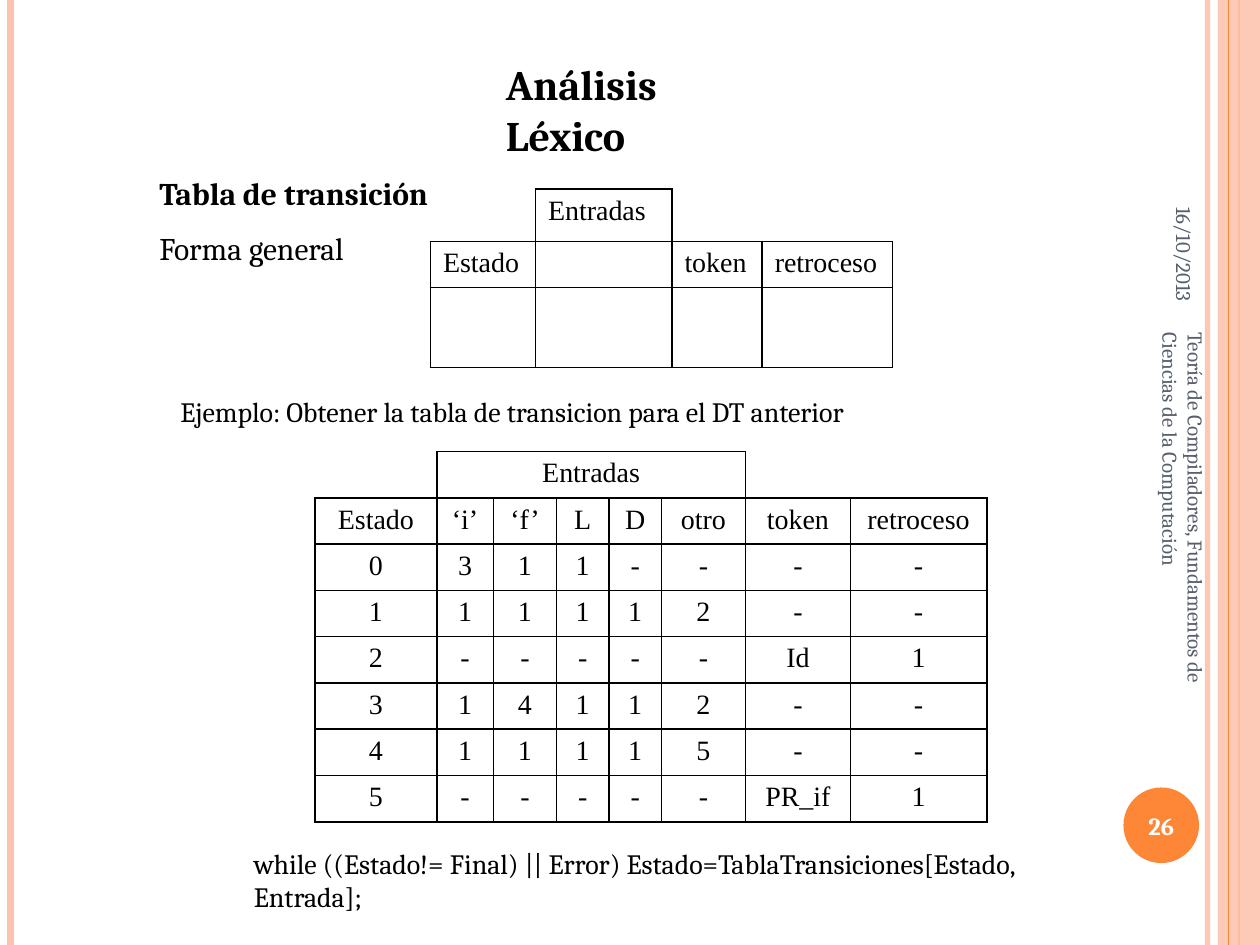
import pptx
import pptx.dml.color
import pptx.enum.shapes
import pptx.enum.text
import pptx.oxml.ns
import pptx.util
from lxml import etree

# Grid of 120 columns by 90 rows
COLS, ROWS = 120, 90
UNIT = pptx.util.Inches(10) // COLS
PINK, ORANGE, GRAY, BLACK, WHITE = "FEC3AE", "FE8637", "575F6D", "000000", "FFFFFF"
ALIGN = pptx.enum.text.PP_ALIGN
ANCHOR = pptx.enum.text.MSO_ANCHOR
SHAPE = pptx.enum.shapes.MSO_SHAPE
CELL = {"name": "Times New Roman", "size": pptx.util.Pt(16)}


def grid(*vals):
    return [round(v * UNIT) for v in vals]


def color(text):
    return pptx.dml.color.RGBColor.from_string(text)


def sub(node, tag, **attrs):
    return etree.SubElement(node, pptx.oxml.ns.qn(tag), **attrs)


def fade(fill, share):
    tint = fill._xPr.find(".//" + pptx.oxml.ns.qn("a:srgbClr"))
    sub(tint, "a:alpha", val=str(share * 1000))


def write(par, text, look, tone=BLACK, align=ALIGN.LEFT):
    par.alignment = align
    run = par.add_run()
    run.text = text
    for key, val in look.items():
        setattr(run.font, key, val)
    run.font.color.rgb = color(tone)


def label(slide, box, lines, size, tone=BLACK, bold=(), align=ALIGN.LEFT,
          anchor=ANCHOR.TOP, turn=0):
    shape = slide.shapes.add_textbox(*grid(*box))
    shape.rotation = turn
    frame = shape.text_frame
    frame.word_wrap = True
    frame.vertical_anchor = anchor
    for i, text in enumerate(lines):
        par = frame.add_paragraph() if i else frame.paragraphs[0]
        if i:
            par.space_before = pptx.util.Pt(size * 0.55)
        look = {"name": "Cambria", "size": pptx.util.Pt(size), "bold": i in bold}
        write(par, text, look, tone, align)


def edge(cell, sides):
    props = cell._tc.get_or_add_tcPr()
    for side in "LRTB":
        if side in sides:
            line = sub(props, "a:ln" + side, w="12700")
            sub(sub(line, "a:solidFill"), "a:srgbClr", val=BLACK)


def table(slide, left, top, widths, heights, data, align=ALIGN.LEFT, edges=None):
    """Ruled table; edges lists the sides drawn in the first row."""
    box = grid(left, top, sum(widths), sum(heights))
    tab = slide.shapes.add_table(len(heights), len(widths), *box).table
    tab.first_row = tab.horz_banding = False
    for col, wide in zip(tab.columns, grid(*widths)):
        col.width = wide
    for row, high in zip(tab.rows, grid(*heights)):
        row.height = high
    for r, line in enumerate(data):
        for c, text in enumerate(line):
            cell = tab.cell(r, c)
            edge(cell, edges[c] if edges and r == 0 else "LRTB")
            cell.fill.background()
            par = cell.text_frame.paragraphs[0]
            if text:
                write(par, text, CELL, align=align)
            else:
                sub(par._p, "a:endParaRPr", sz="1600")
    return tab


def frame(slide):
    # Vertical rules and side band: column, colour, width, opacity
    def rule(x, tone, width, share=100):
        line = slide.shapes.add_connector(
            pptx.enum.shapes.MSO_CONNECTOR.STRAIGHT, *grid(x, 0, x, ROWS))
        line.line.color.rgb = color(tone)
        line.line.width = pptx.util.Pt(width)
        if share < 100:
            fade(line.line.fill, share)
        sub(line._element.spPr, "a:effectLst")

    def block(kind, box, tone):
        shape = slide.shapes.add_shape(kind, *grid(*box))
        shape.shadow.inherit = False
        shape.fill.solid()
        shape.fill.fore_color.rgb = color(tone)
        shape.line.fill.background()
        return shape

    rule(115, PINK, 3, 93)
    rule(1, PINK, 4.5)
    rule(118, ORANGE, 1.5)
    fade(block(SHAPE.RECTANGLE, (116, 0, 4, ROWS), PINK).fill, 87)
    rule(117, ORANGE, 0.75)
    block(SHAPE.OVAL, (107, 75, 7.2, 7.2), ORANGE)


def margin(slide):
    # Date, page number and footer
    mid = {"anchor": ANCHOR.MIDDLE}
    label(slide, (99.6, 14.2, 26.4, 5), ["16/10/2013"], 12, GRAY,
          align=ALIGN.RIGHT, turn=90, **mid)
    label(slide, (106.6, 75.2, 8, 6.8), ["26"], 14, WHITE, bold=(0,),
          align=ALIGN.CENTER, **mid)
    label(slide, (91.7, 49.1, 42, 4.8),
          ["Teoría de Compiladores, Fundamentos de Ciencias de la Computación"],
          12, GRAY, turn=90, **mid)


def form(slide, left, top):
    # General form: input heading above the second column
    widths = [10, 13, 8.6, 12.4]
    table(slide, left, top + 5, widths, [4.4, 7.6],
          [["Estado", "", "token", "retroceso"], [""] * 4])
    table(slide, left + widths[0], top, widths[1:2], [5], [["Entradas"]])


def sample(slide, left, top):
    # Transition table of the example
    data = [
        ["", "Entradas"] + [""] * 6,
        ["Estado", "‘i’", "‘f’", "L", "D", "otro", "token", "retroceso"],
        *(line.split() for line in (
            "0 3 1 1 - - - -",
            "1 1 1 1 1 2 - -",
            "2 - - - - - Id 1",
            "3 1 4 1 1 2 - -",
            "4 1 1 1 1 5 - -",
            "5 - - - - - PR_if 1")),
    ]
    edges = ["RB", "LRTB", "TB", "TB", "TB", "RTB", "LB", "B"]
    tab = table(slide, left, top, [11.6, 5.4, 6, 5, 5, 8, 10, 13],
                [4.41] * len(data), data, ALIGN.CENTER, edges)
    tab.cell(0, 1).merge(tab.cell(0, 5))
    tab.cell(0, 6).merge(tab.cell(0, 7))


def main():
    deck = pptx.Presentation()
    deck.slide_width, deck.slide_height = grid(COLS, ROWS)
    slide = deck.slides.add_slide(deck.slide_layouts[6])
    frame(slide)
    label(slide, (47, 5, 28.3, 6), ["Análisis Léxico"], 24, bold=(0,))
    label(slide, (14, 16, 103, 10.2), ["Tabla de transición", "Forma general"],
          18, bold=(0,))
    form(slide, 41, 18)
    label(slide, (16, 37, 68, 4.4),
          ["Ejemplo: Obtener la tabla de transicion para el DT anterior"], 16)
    sample(slide, 30, 43)
    label(slide, (23, 80, 85.2, 4.4),
          ["while ((Estado!= Final) || Error) "
           "Estado=TablaTransiciones[Estado, Entrada];"], 16)
    margin(slide)
    deck.save("out.pptx")


if __name__ == "__main__":
    main()
